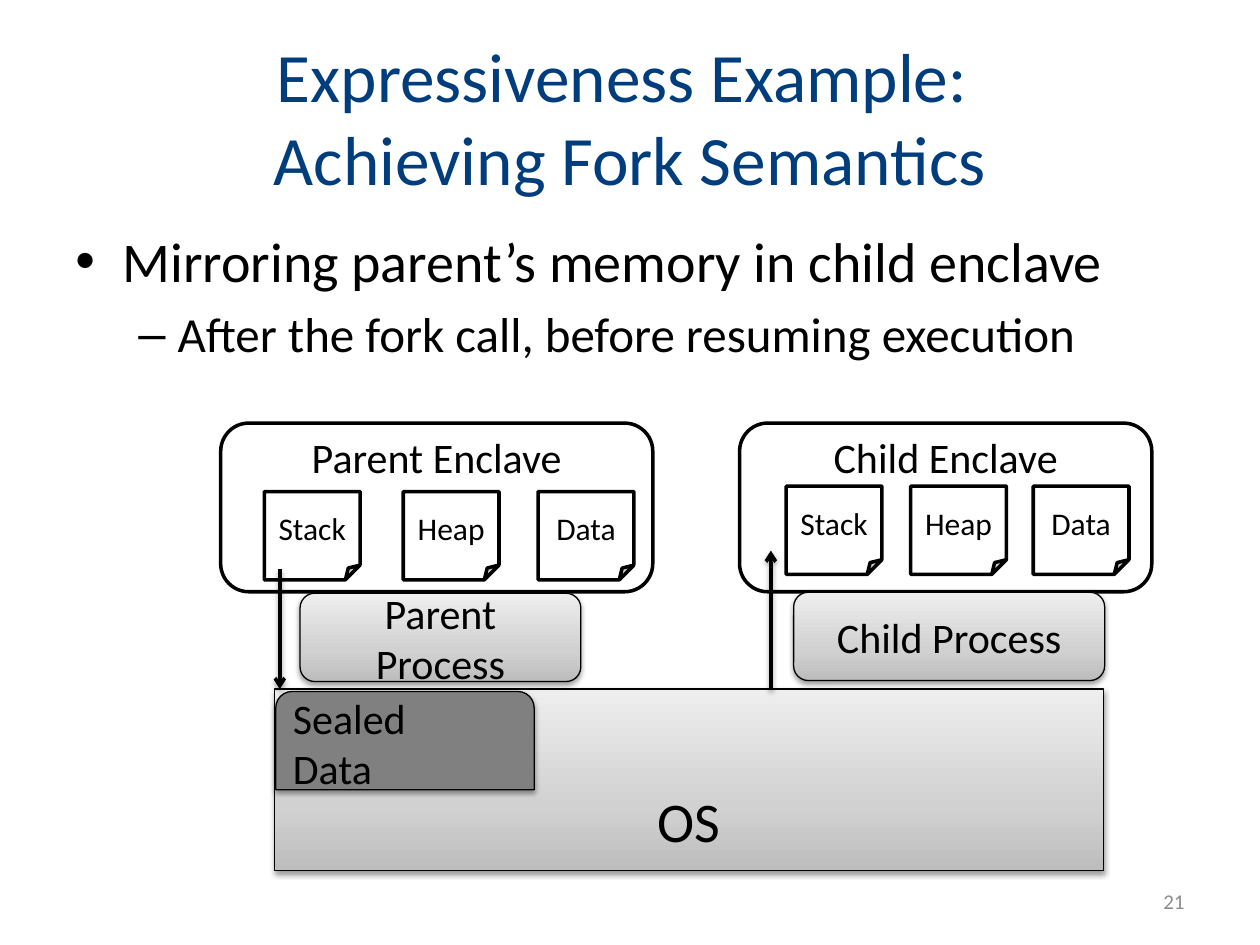
"""Build the slide on achieving fork semantics between two enclaves."""
from copy import deepcopy

from lxml import etree
from pptx import Presentation
from pptx import util as u
from pptx.dml.color import RGBColor
from pptx.enum import shapes, text
from pptx.oxml.ns import qn

FONT, BLACK, WHITE = "Calibri", "000000", "FFFFFF"
SHEEN = [(0, "BDBDBD"), (0.35, "D1D1D1"), (1, "EEEEEE")]
TITLE = ["Expressiveness Example: ", "Achieving Fork Semantics"]
BULLETS = [
    ("•", "Mirroring parent’s memory in child enclave", 32, 0.95, 0.95, 0),
    ("–", "After the fork call, before resuming execution", 28, 2.06, 0.79, 5.6),
]
OS_BOX = (5.54, 13.89, 16.71, 3.66)
SEALED_BOX = (5.56, 13.94, 5.21, 1.98)
ENCLAVES = [
    ("Child Enclave", (14.91, 8.53, 8.31, 3.4)),
    ("Parent Enclave", (4.45, 8.53, 8.71, 3.4)),
]
PROCESSES = [
    ("Child Process", (16, 11.94, 6.27, 1.78)),
    ("Parent Process", (6.05, 11.96, 5.66, 1.78)),
]
PAGES = ["Stack", "Heap", "Data"]
PAGE_SIZE = (1.93, 1.78)
PAGE_ROWS = [(9.91, (5.33, 8.13, 10.85)), (9.8, (15.85, 18.36, 20.83))]
ARROWS = [(5.64, 11.48, OS_BOX[1]), (15.54, OS_BOX[1], 11.1)]

KIND = shapes.MSO_SHAPE
ALIGN, ANCHOR = text.PP_ALIGN, text.MSO_ANCHOR


def rgb(code):
    return RGBColor.from_string(code)


def cm(values):
    return [u.Cm(value) for value in values]


def style(font, size, color=BLACK):
    font.name, font.size = FONT, u.Pt(size)
    font.color.rgb = rgb(color)


def write(paragraph, lines, size, color=BLACK, align=ALIGN.CENTER):
    paragraph.alignment = align
    style(paragraph.font, size, color)
    for index, line in enumerate(lines):
        if index:
            paragraph.add_line_break()
        run = paragraph.add_run()
        run.text = line
        style(run.font, size, color)


def cast_shadow(item):
    effects = item._element.spPr.find(qn("a:effectLst"))
    shadow = etree.SubElement(effects, qn("a:outerShdw"), blurRad="40000",
                              dist="20000", dir="5400000", rotWithShape="0")
    tint = etree.SubElement(shadow, qn("a:srgbClr"), val=BLACK)
    etree.SubElement(tint, qn("a:alpha"), val="38000")


def paint_sheen(shape):
    shape.fill.gradient()
    shape.fill.gradient_angle = 90
    stops = shape._element.spPr.find(".//" + qn("a:gsLst"))
    stops.insert(1, deepcopy(stops[0]))
    for stop, (position, color) in zip(shape.fill.gradient_stops, SHEEN):
        stop.position = position
        stop.color.rgb = rgb(color)


def add_box(slide, kind, box, lines, size, fill=None, raised=False,
            anchor=ANCHOR.MIDDLE, align=ALIGN.CENTER):
    shape = slide.shapes.add_shape(kind, *cm(box))
    shape.shadow.inherit = False
    if fill:
        shape.fill.solid()
        shape.fill.fore_color.rgb = rgb(fill)
    else:
        paint_sheen(shape)
    shape.line.color.rgb = rgb(BLACK)
    shape.line.width = u.Pt(0.75 if raised else 2)
    if raised:
        cast_shadow(shape)
    frame = shape.text_frame
    frame.word_wrap, frame.vertical_anchor = True, anchor
    write(frame.paragraphs[0], lines, size, align=align)
    return frame


def add_arrow(slide, x, start, end):
    arrow = slide.shapes.add_connector(shapes.MSO_CONNECTOR.STRAIGHT,
                                       *cm((x, start, x, end)))
    arrow.line.color.rgb = rgb(BLACK)
    arrow.line.width = u.Pt(2)
    etree.SubElement(arrow.line._get_or_add_ln(), qn("a:tailEnd"), type="arrow")
    etree.SubElement(arrow._element.spPr, qn("a:effectLst"))
    cast_shadow(arrow)


def add_text(slide, box, anchor):
    frame = slide.shapes.add_textbox(*cm(box)).text_frame
    frame.word_wrap, frame.vertical_anchor = True, anchor
    return frame


def add_title(slide):
    title = slide.shapes.title
    title.left, title.top, title.width, title.height = cm((1.27, 0.76, 22.86, 3.18))
    title.text_frame.vertical_anchor = ANCHOR.MIDDLE
    write(title.text_frame.paragraphs[0], TITLE, 39.6, "003D7C")


def add_bullets(slide):
    frame = add_text(slide, (1.27, 4.45, 22.86, 3.6), ANCHOR.TOP)
    for level, (mark, line, size, margin, hang, before) in enumerate(BULLETS):
        paragraph = frame.add_paragraph() if level else frame.paragraphs[0]
        paragraph.level = level
        props = paragraph._p.get_or_add_pPr()
        props.set("marL", str(u.Cm(margin)))
        props.set("indent", str(-u.Cm(hang)))
        etree.SubElement(props, qn("a:buFont"), typeface="Arial")
        etree.SubElement(props, qn("a:buChar"), char=mark)
        paragraph.space_before = u.Pt(before)
        write(paragraph, [line], size, align=ALIGN.LEFT)


def add_diagram(slide):
    os_frame = add_box(slide, KIND.RECTANGLE, OS_BOX, ["OS"], 32, raised=True,
                       anchor=ANCHOR.BOTTOM)
    os_frame.margin_bottom = u.Cm(0.33)
    for name, box in ENCLAVES:
        enclave = add_box(slide, KIND.ROUNDED_RECTANGLE, box, [name], 24, WHITE,
                          anchor=ANCHOR.TOP)
        enclave.margin_top = 0
    for name, box in PROCESSES:
        add_box(slide, KIND.ROUNDED_RECTANGLE, box, [name], 24, raised=True)
    add_box(slide, KIND.ROUND_2_SAME_RECTANGLE, SEALED_BOX, ["Sealed", "Data"],
            24, "808080", raised=True, align=ALIGN.LEFT)
    for top, lefts in PAGE_ROWS:
        for page, left in zip(PAGES, lefts):
            add_box(slide, KIND.FOLDED_CORNER, (left, top, *PAGE_SIZE), [page],
                    18, WHITE)
    for arrow in ARROWS:
        add_arrow(slide, *arrow)


def main():
    deck = Presentation()
    deck.slide_width, deck.slide_height = cm((25.4, 19.05))
    slide = deck.slides.add_slide(deck.slide_layouts[5])
    add_title(slide)
    add_bullets(slide)
    add_diagram(slide)
    number = add_text(slide, (18.21, 17.65, 5.92, 1.02), ANCHOR.MIDDLE)
    write(number.paragraphs[0], ["21"], 12, "8C8C8C", ALIGN.RIGHT)
    deck.save("out.pptx")


if __name__ == "__main__":
    main()
